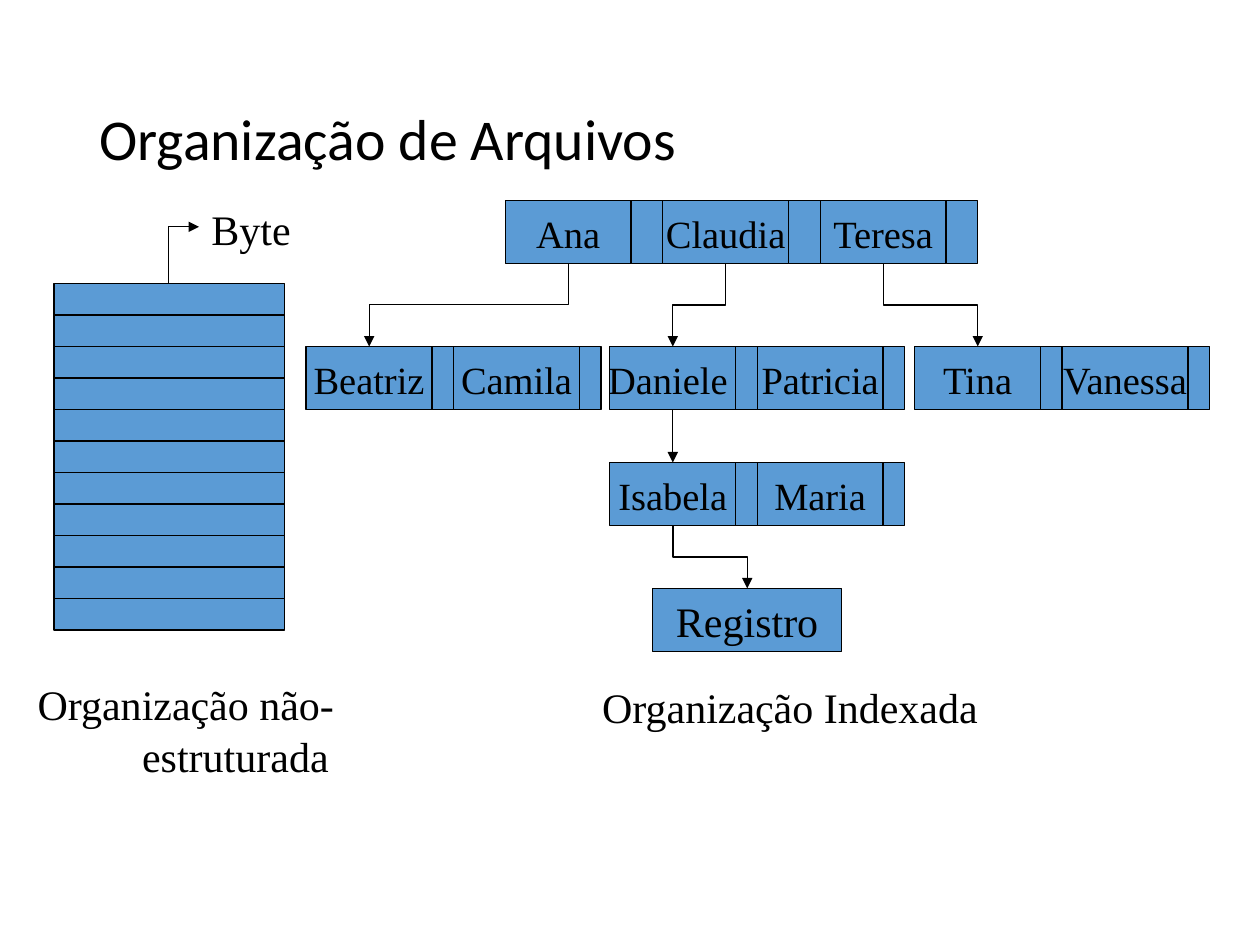
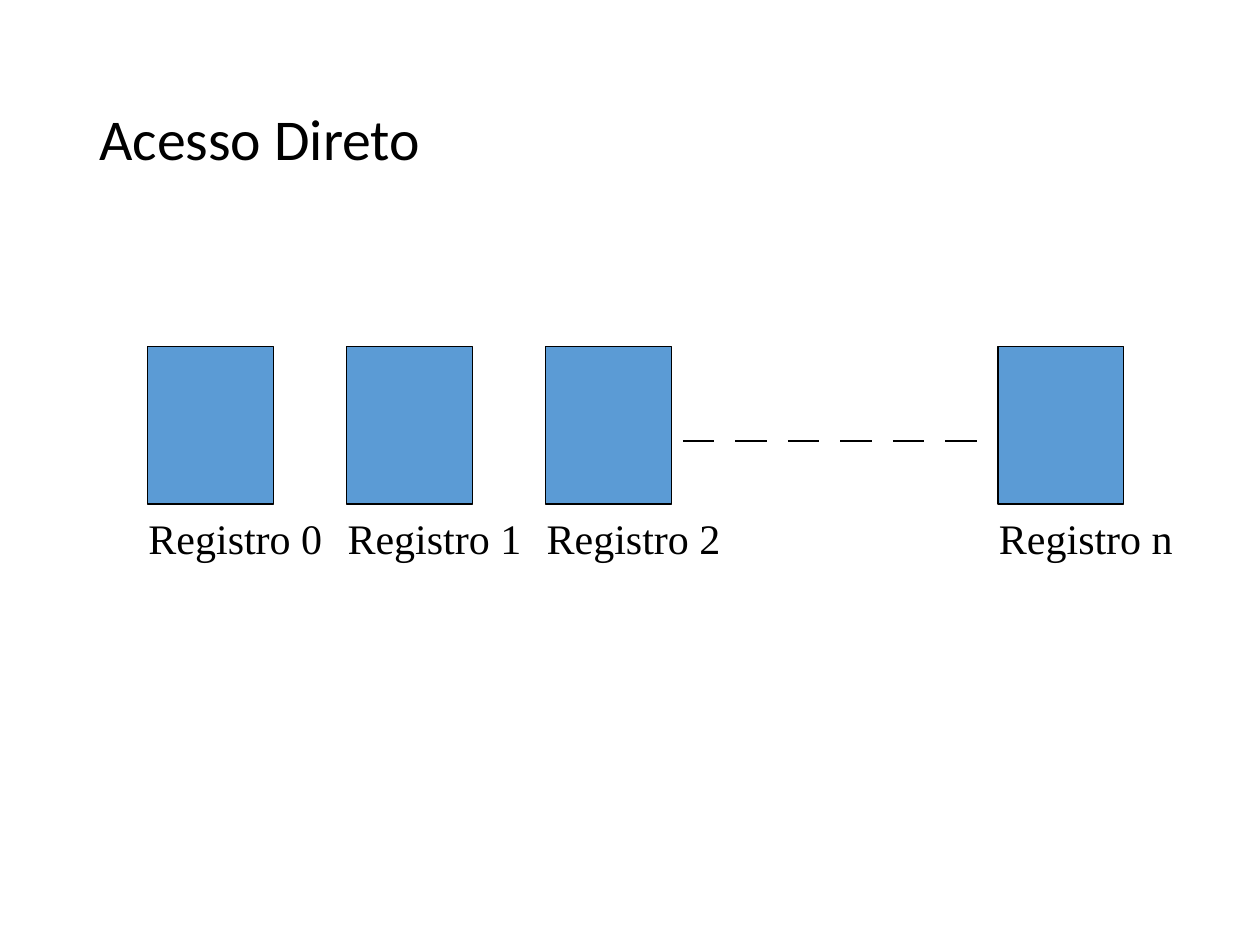
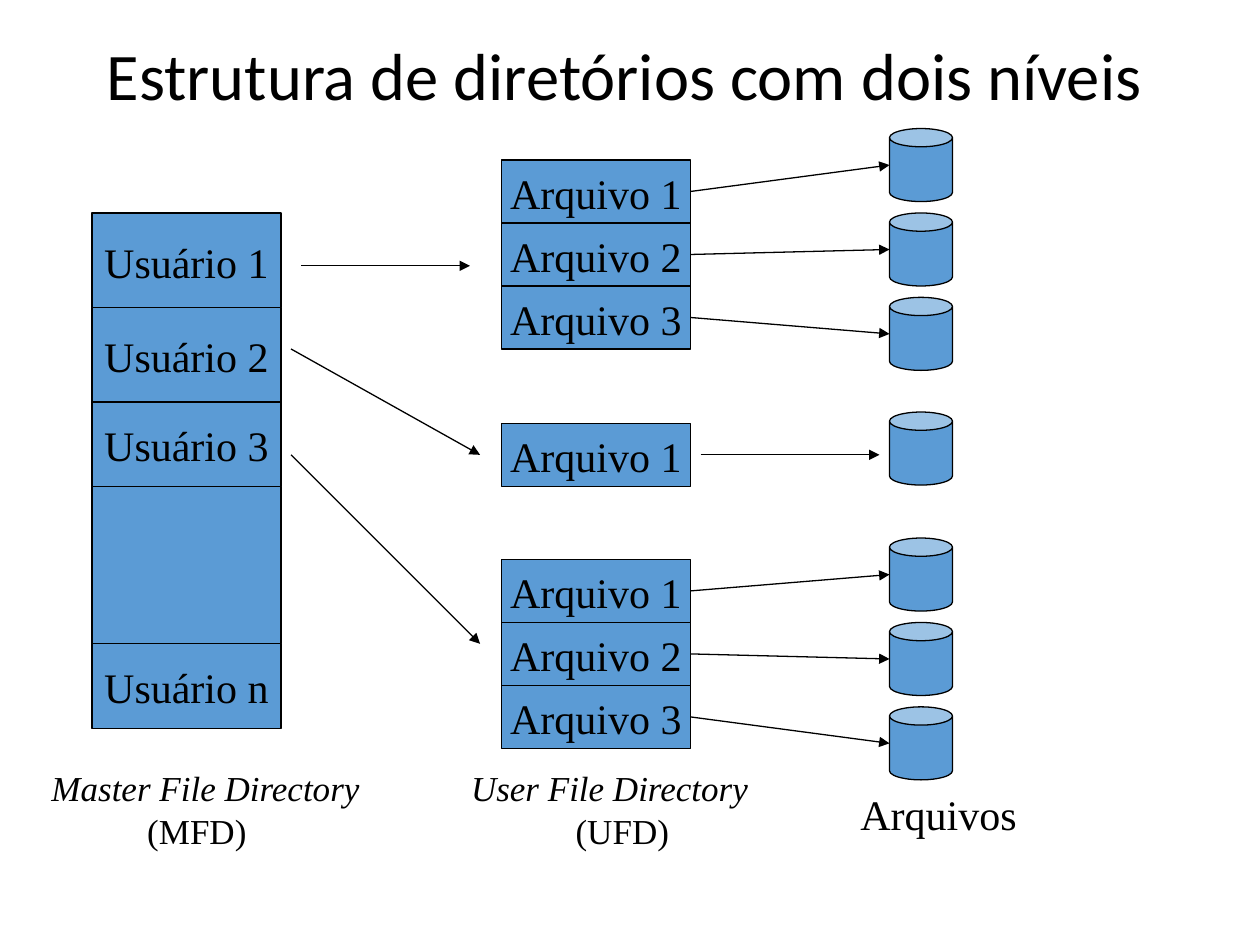
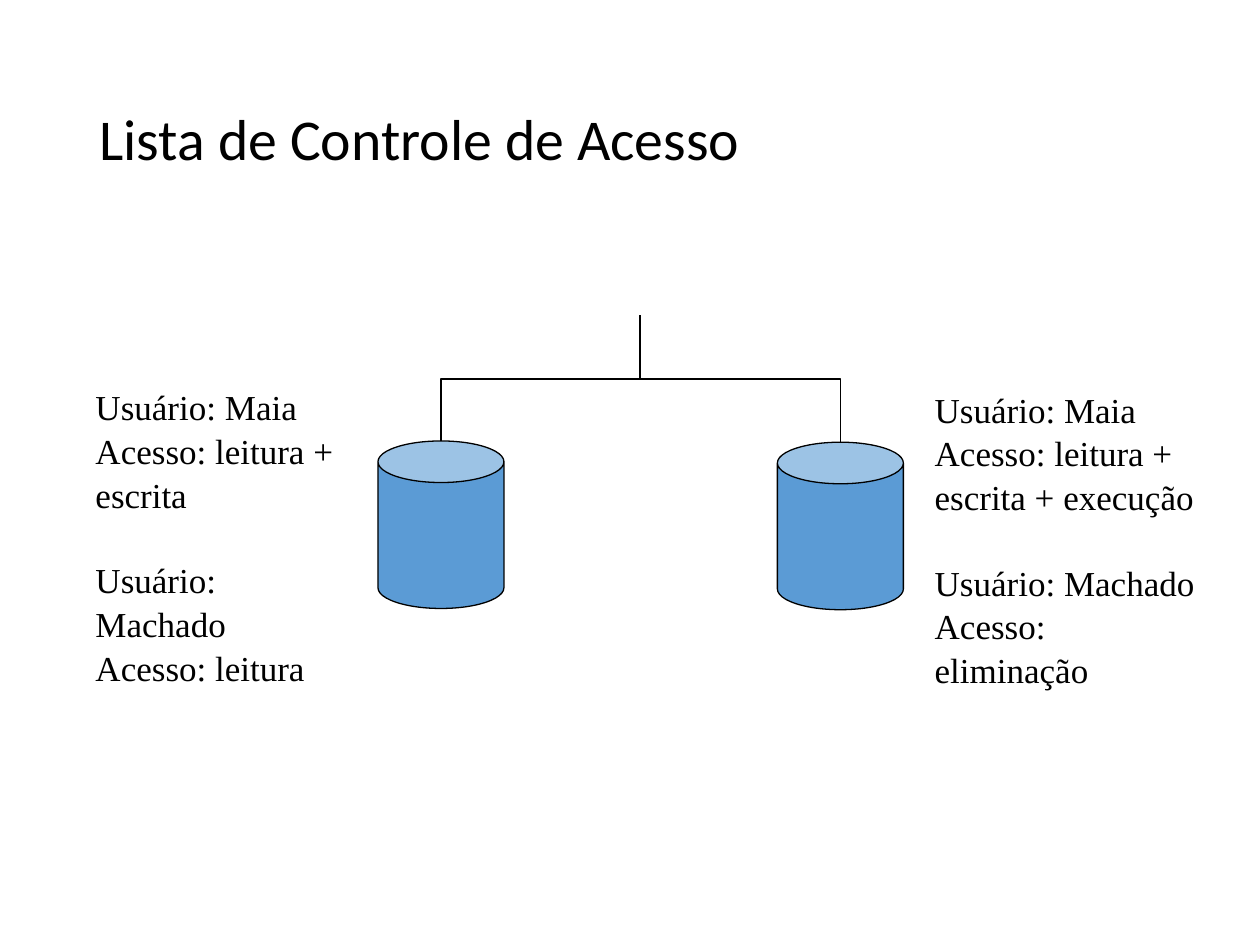
"""Builds four slides on file organisation, access and directories."""
import pptx
import pptx.dml.color
import pptx.enum.shapes
import pptx.enum.text
import pptx.oxml.ns
import pptx.util
from lxml import etree

Inches = pptx.util.Inches
Pt = pptx.util.Pt
Preset = pptx.enum.shapes.MSO_SHAPE
Route = pptx.enum.shapes.MSO_CONNECTOR
Align = pptx.enum.text.PP_ALIGN
Anchor = pptx.enum.text.MSO_ANCHOR
qn = pptx.oxml.ns.qn

BLUE, BLACK = "5B9BD5", "000000"
TITLE_FONT, BODY_FONT = "Calibri", "Times New Roman"
TITLE_BOX = (0.69, 0.4, 8.62, 1.45)
TOP, BOTTOM, RIGHT = 0, 2, 3

BYTE_COUNT = 11
BYTE_COLUMN = (0.43, 2.25, 1.83, 0.25)
INDEX_NODES = [
    (4.01, 1.59, 0.25, ["Ana", "Claudia", "Teresa"]),
    (2.43, 2.75, 0.17, ["Beatriz", "Camila"]),
    (4.84, 2.75, 0.17, ["Daniele ", "Patricia"]),
    (7.26, 2.75, 0.17, ["Tina", "Vanessa"]),
    (4.84, 3.67, 0.17, ["Isabela", "Maria"]),
]
INDEX_LINKS = [
    ((4.51, 2.09), (2.93, 2.75)),
    ((5.76, 2.09), (5.34, 2.75)),
    ((7.01, 2.09), (7.76, 2.75)),
    ((5.34, 4.17), (5.93, 4.67)),
]

RECORDS = [("Registro 0", 1.17), ("Registro 1", 2.75),
           ("Registro 2", 4.33), ("Registro n", 7.92)]
DASH_COUNT = 6

USERS = [("Usuário 1", 0.75), ("Usuário 2", 0.75), ("Usuário 3", 0.67),
         ("", 1.25), ("Usuário n", 0.67)]
USER_LINKS = [((2.39, 2.11), (3.73, 2.11)), ((2.31, 2.77), (3.81, 3.61)),
              ((2.31, 3.61), (3.81, 5.11))]
USER_FILES = [
    (1.27, 1.02, ["Arquivo 1", "Arquivo 2", "Arquivo 3"]),
    (3.36, 3.27, ["Arquivo 1"]),
    (4.44, 4.27, ["Arquivo 1", "Arquivo 2", "Arquivo 3"]),
]
DIRECTORIES = [
    ((0.31, 6.02, 2.65, 0.77), ["Master File Directory", "(MFD)"], 0.76),
    ((3.64, 6.02, 2.4, 0.77), ["User File Directory", "(UFD)"], 0.83),
]

ACCESS_LISTS = [
    ((0.66, 3, 2.26, 2.1),
     ["Usuário: Maia", "Acesso: leitura +", "escrita",
      "Usuário: Machado", "Acesso: leitura"]),
    ((7.32, 3.02, 2.36, 2.1),
     ["Usuário: Maia", "Acesso: leitura +", "escrita + execução",
      "Usuário: Machado", "Acesso: eliminação"]),
]
SECOND_USER = 3


def colour(hex_code):
    return pptx.dml.color.RGBColor.from_string(hex_code)


def inches(values):
    return [Inches(value) for value in values]


def style(frame, size, font=BODY_FONT, spacing=1.04, align=Align.LEFT):
    for paragraph in frame.paragraphs:
        paragraph.line_spacing = spacing
        paragraph.alignment = align
        for run in paragraph.runs:
            run.font.size = Pt(size)
            run.font.name = font
            run.font.color.rgb = colour(BLACK)


def text(slide, place, lines, size=24, wrap=False, **look):
    frame = slide.shapes.add_textbox(*inches(place)).text_frame
    frame.word_wrap = wrap
    frame.text = "\n".join(lines)
    style(frame, size, **look)
    return frame


def indent(paragraph, distance):
    paragraph._p.get_or_add_pPr().set("marL", str(Inches(distance)))


def titled_slide(deck, title, place=TITLE_BOX, size=33):
    slide = deck.slides.add_slide(deck.slide_layouts[6])
    frame = text(slide, place, [title], size, wrap=True, font=TITLE_FONT, spacing=0.9)
    frame.vertical_anchor = Anchor.MIDDLE
    return slide


def block(slide, place, label="", size=24, preset=Preset.RECTANGLE):
    shape = slide.shapes.add_shape(preset, *inches(place))
    shape.shadow.inherit = False
    shape.fill.solid()
    shape.fill.fore_color.rgb = colour(BLUE)
    shape.line.color.rgb = colour(BLACK)
    shape.line.width = Pt(0.75)
    if label:
        frame = shape.text_frame
        frame.word_wrap = False
        frame.vertical_anchor = Anchor.MIDDLE
        frame.text = label
        style(frame, size, align=Align.CENTER)
    return shape


def disk(slide, place, lid):
    block(slide, place, preset=Preset.CAN).adjustments[0] = lid


def line(slide, start, end, arrow=True, route=Route.STRAIGHT):
    connector = slide.shapes.add_connector(route, *inches(start + end))
    connector.line.color.rgb = colour(BLACK)
    connector.line.width = Pt(0.75)
    if arrow:
        etree.SubElement(connector.line._get_or_add_ln(), qn("a:tailEnd"), type="triangle")
    etree.SubElement(connector._element.spPr, qn("a:effectLst"))
    return connector


def elbow(slide, start, end, arrow=True, bends=2, bend_at=0.5):
    (x1, y1), (x2, y2) = start, end
    turn = 1 if y2 > y1 else -1
    x, y = (x1 + x2) / 2, (y1 + y2) / 2
    half_run, half_rise = turn * (y2 - y1) / 2, turn * (x2 - x1) / 2
    connector = line(slide, (x - half_run, y + half_rise),
                     (x + half_run, y - half_rise), arrow, Route.ELBOW)
    connector.rotation = 90 * turn % 360
    geometry = connector._element.spPr.find(qn("a:prstGeom"))
    geometry.set("prst", f"bentConnector{bends + 1}")
    if bends == 2:
        etree.SubElement(geometry.find(qn("a:avLst")), qn("a:gd"), name="adj1",
                         fmla=f"val {round(bend_at * 100000)}")


def file_organisation(deck):
    slide = titled_slide(deck, "Organização de Arquivos")
    left, top, width, height = BYTE_COLUMN
    for row in range(BYTE_COUNT):
        block(slide, (left, top + row * height, width, height))
    text(slide, (1.58, 1.55, 0.83, 0.5), ["Byte"])
    elbow(slide, (1.34, 2.25), (1.58, 1.8), bends=1)
    unstructured = text(slide, (0.2, 5.32, 2.56, 0.9), ["Organização não-", "estruturada"])
    indent(unstructured.paragraphs[1], 0.83)

    keys = {}
    for left, top, pointer, names in INDEX_NODES:
        for position, name in enumerate(names):
            x = left + position * (1 + pointer)
            keys[name] = block(slide, (x, top, 1, 0.5), name, 22)
            block(slide, (x + 1, top, pointer, 0.5))
    block(slide, (5.18, 4.67, 1.5, 0.5), "Registro")
    for start, end in INDEX_LINKS:
        elbow(slide, start, end)
    descent = line(slide, (5.34, 3.25), (5.34, 3.67))
    descent.begin_connect(keys["Daniele "], BOTTOM)
    descent.end_connect(keys["Isabela"], TOP)
    text(slide, (4.68, 5.34, 3.19, 0.5), ["Organização Indexada"])


def direct_access(deck):
    slide = titled_slide(deck, "Acesso Direto")
    for name, left in RECORDS:
        block(slide, (left, 2.75, 1, 1.25))
        text(slide, (left - 0.09, 4, 1.58, 0.5), [name])
    for dash in range(DASH_COUNT):
        x = 5.42 + dash * 5 / 12
        line(slide, (x, 3.5), (x + 0.25, 3.5), arrow=False)


def two_level_directories(deck):
    slide = titled_slide(deck, "Estrutura de diretórios com dois níveis",
                         (0.75, 0, 8.5, 1.25), 38)
    top = 1.69
    for user, height in USERS:
        block(slide, (0.73, top, 1.5, height), user)
        top += height
    for start, end in USER_LINKS:
        line(slide, start, end)
    for files_top, disks_top, files in USER_FILES:
        for row, name in enumerate(files):
            file_top, disk_top = files_top + row * 0.5, disks_top + row * 0.67
            entry = block(slide, (3.98, file_top, 1.5, 0.5), name)
            disk(slide, (7.06, disk_top, 0.5, 0.58), 0.29)
            if len(files) == 1:
                line(slide, (5.56, file_top + 0.25), (6.98, file_top + 0.25))
            else:
                link = line(slide, (5.48, file_top + 0.25), (7.06, disk_top + 0.29))
                link.begin_connect(entry, RIGHT)
    for place, names, offset in DIRECTORIES:
        full_name, initials = text(slide, place, names, 20).paragraphs
        full_name.runs[0].font.italic = True
        indent(initials, offset)
    text(slide, (6.73, 6.19, 1.44, 0.5), ["Arquivos"])


def access_control_list(deck):
    slide = titled_slide(deck, "Lista de Controle de Acesso")
    disk(slide, (3, 3.5, 1, 1.33), 0.33)
    disk(slide, (6.17, 3.51, 1, 1.33), 0.33)
    elbow(slide, (3.5, 3.5), (6.67, 3.51), arrow=False, bend_at=-50)
    line(slide, (5.08, 3), (5.08, 2.5), arrow=False)
    for place, rights in ACCESS_LISTS:
        frame = text(slide, place, rights, 20, wrap=True)
        frame.paragraphs[SECOND_USER].space_before = Pt(24)


def main():
    deck = pptx.Presentation()
    deck.slide_width, deck.slide_height = Inches(10), Inches(7.5)
    file_organisation(deck)
    direct_access(deck)
    two_level_directories(deck)
    access_control_list(deck)
    deck.save("out.pptx")


if __name__ == "__main__":
    main()
